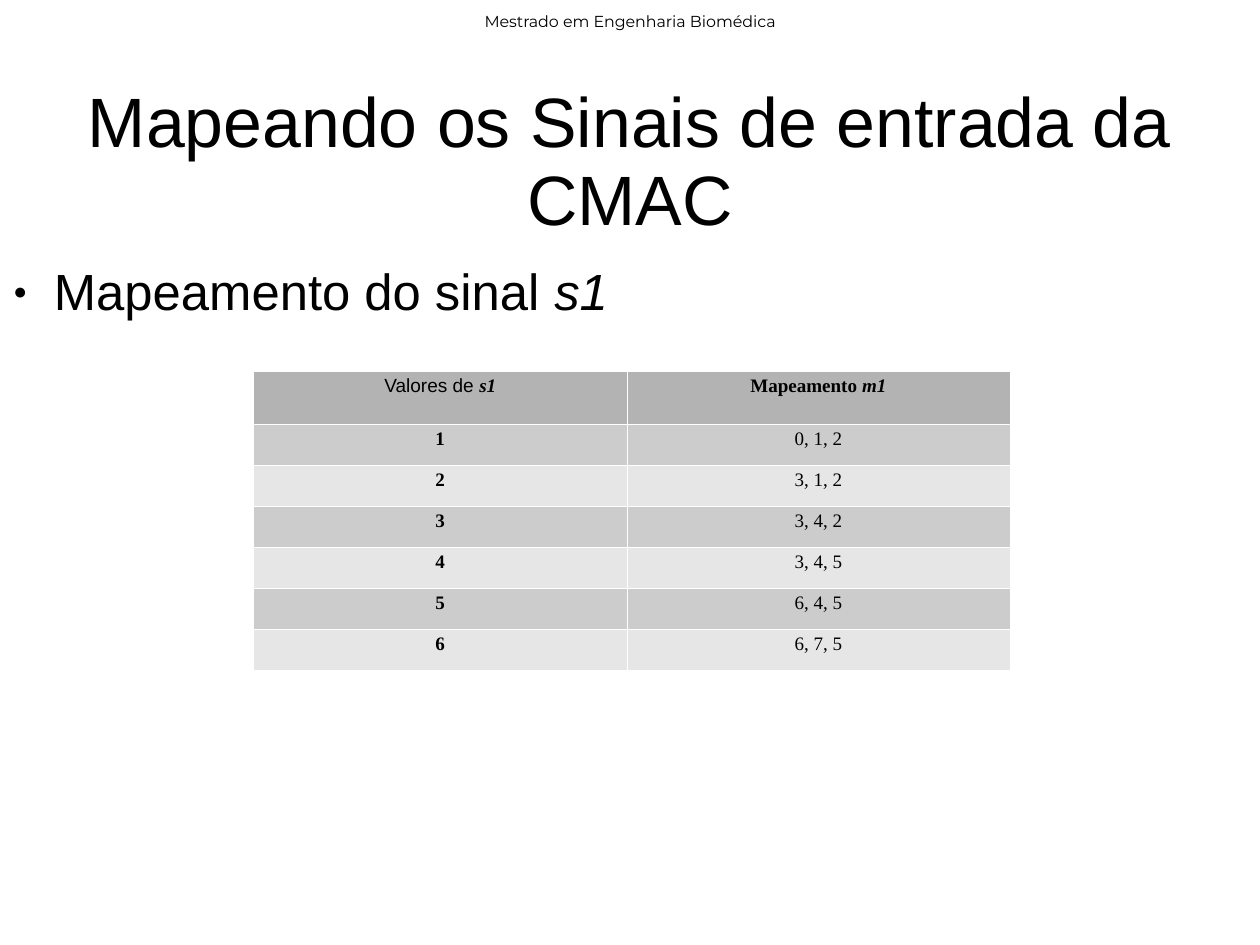
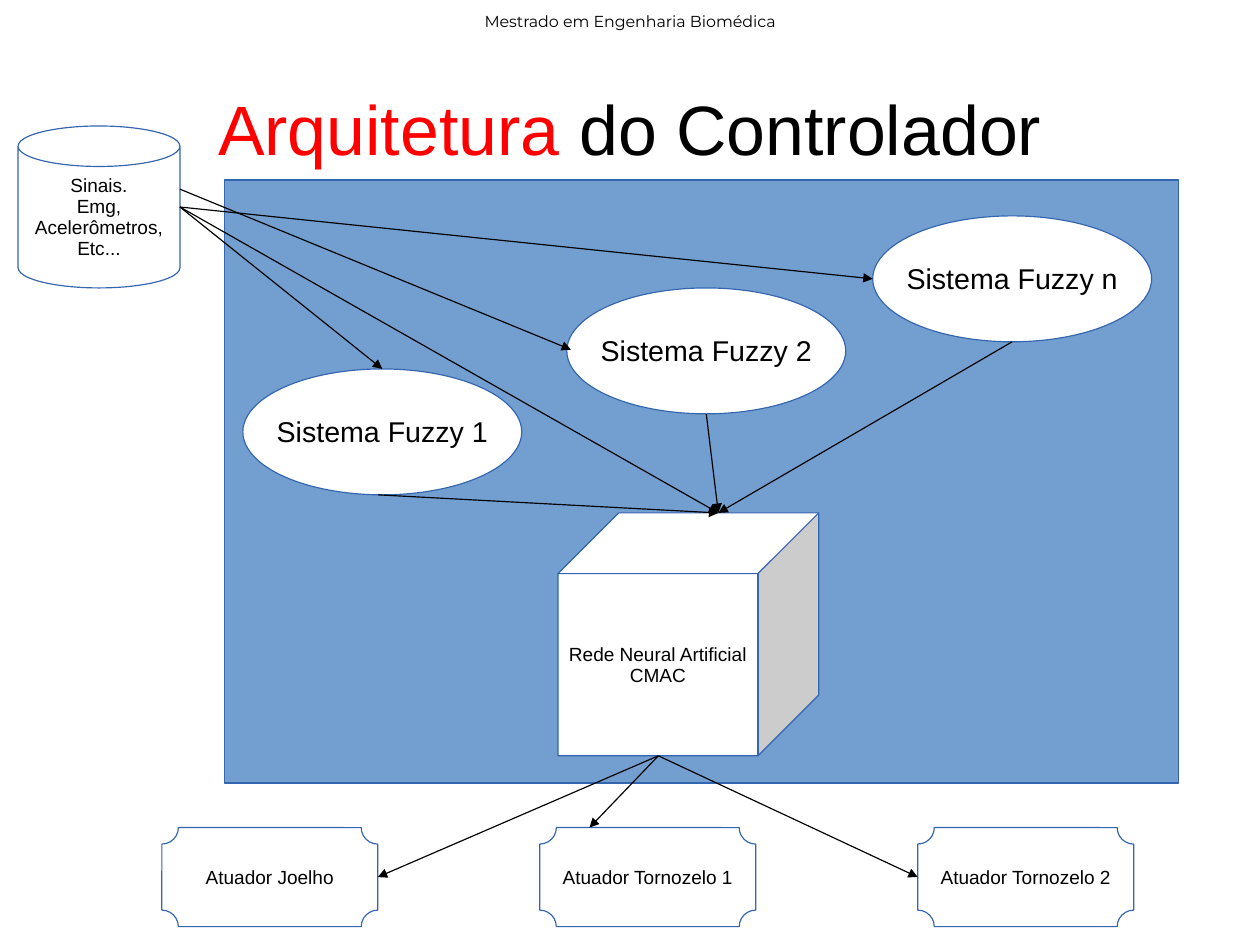
from lxml import etree
from pptx import Presentation
from pptx.dml.color import RGBColor
from pptx.enum import shapes, text
from pptx.oxml.ns import qn
from pptx.util import Pt

BLACK = RGBColor(0x00, 0x00, 0x00)
WHITE = RGBColor(0xFF, 0xFF, 0xFF)
RED = RGBColor(0xFF, 0x00, 0x00)
PANEL_BLUE = RGBColor(0x72, 0x9F, 0xCF)
LINE_BLUE = RGBColor(0x34, 0x65, 0xAF)
HEAD_GRAY = RGBColor(0xB3, 0xB3, 0xB3)
BAND_GRAYS = (RGBColor(0xCC, 0xCC, 0xCC), RGBColor(0xE6, 0xE6, 0xE6))
SANS, SERIF, HEADER_FONT = "Arial", "Times New Roman", "Montserrat"
WIDTH, HEIGHT = 793.75, 595.25
SPACING = 0.93
CENTER = text.PP_ALIGN.CENTER
SHAPE = shapes.MSO_SHAPE

# Content: a run is (text, format)
HEADER = "Mestrado em Engenharia Biomédica"
MAPPING_TITLE = [("Mapeando os Sinais de entrada da CMAC", {})]
BULLET = [("Mapeamento do sinal ", {}), ("s1", {"italic": True})]
TABLE_HEAD = [
    [("Valores de ", {"name": SANS}), ("s1", {"bold": True, "italic": True})],
    [("Mapeamento ", {"bold": True}), ("m1", {"bold": True, "italic": True})],
]
MAPPING = ["0, 1, 2", "3, 1, 2", "3, 4, 2", "3, 4, 5", "6, 4, 5", "6, 7, 5"]
COLUMNS, HEAD_ROW, BODY_ROW = (235.5, 241), 33.2, 25.85

CONTROLLER_TITLE = [("Arquitetura", {"color": RED}), (" do Controlador", {})]
PANEL = (141.7, 113.4, 601, 379.8)
SIGNALS = ["Sinais.", "Emg,", "Acelerômetros,", "Etc..."]
NETWORK = ["Rede Neural Artificial", "CMAC"]
FUZZY = {"Sistema Fuzzy 1": (153, 232.4),
         "Sistema Fuzzy 2": (357.1, 181.4),
         "Sistema Fuzzy n": (549.8, 136)}
ACTUATORS = ["Atuador Joelho", "Atuador Tornozelo 1", "Atuador Tornozelo 2"]
ACTUATOR_LEFT, ACTUATOR_TOP, ACTUATOR_STEP = 102, 521.3, 238.1

# Arrows: (shape, x share, y share) at either end
SIGNAL_PORT = ("signals", 1, 0.5)
NETWORK_IN, NETWORK_OUT = ("network", 0.615, 0), ("network", 0.385, 1)
ARROWS = [
    (SIGNAL_PORT, NETWORK_IN),
    (("signals", 1, 0.39), ("Sistema Fuzzy 2", 0.015, 0.49)),
    (SIGNAL_PORT, ("Sistema Fuzzy n", 0, 0.5)),
    (("Sistema Fuzzy 1", 0.485, 1), NETWORK_IN),
    (("Sistema Fuzzy 2", 0.5, 1), NETWORK_IN),
    (("Sistema Fuzzy n", 0.5, 1), NETWORK_IN),
    (SIGNAL_PORT, ("Sistema Fuzzy 1", 0.5, 0)),
    (NETWORK_OUT, ("Atuador Joelho", 1, 0.5)),
    (NETWORK_OUT, ("Atuador Tornozelo 1", 0.23, 0)),
    (NETWORK_OUT, ("Atuador Tornozelo 2", 0, 0.5)),
]


def set_frame(frame, margins, anchor, wrap=True):
    frame.auto_size = text.MSO_AUTO_SIZE.NONE
    frame.word_wrap = wrap
    frame.vertical_anchor = anchor
    (frame.margin_left, frame.margin_top,
     frame.margin_right, frame.margin_bottom) = map(Pt, margins)


def write_runs(paragraph, runs, size, font=SANS, align=CENTER, spacing=SPACING):
    paragraph.alignment = align
    paragraph.line_spacing = spacing
    for words, style in runs:
        run = paragraph.add_run()
        run.text = words
        run.font.size = Pt(size)
        run.font.name = style.get("name", font)
        run.font.bold = style.get("bold", False)
        run.font.italic = style.get("italic", False)
        run.font.color.rgb = style.get("color", BLACK)


def add_text(slide, box, margins, anchor):
    frame = slide.shapes.add_textbox(*map(Pt, box)).text_frame
    set_frame(frame, margins, anchor)
    return frame.paragraphs[0]


def new_slide(presentation, title_runs, title_top, title_height):
    """Title-only slide with the shared header line and title style."""
    slide = presentation.slides.add_slide(presentation.slide_layouts[5])
    header = add_text(slide, (0, 1.5, WIDTH, 21), (7.2, 3.6, 7.2, 3.6),
                      text.MSO_ANCHOR.MIDDLE)
    write_runs(header, [(HEADER, {})], 10, HEADER_FONT, spacing=1.18)
    title = slide.shapes.title
    title.left, title.top = Pt(0), Pt(title_top)
    title.width, title.height = Pt(WIDTH), Pt(title_height)
    set_frame(title.text_frame, (0, 2.8, 0, 0), text.MSO_ANCHOR.MIDDLE)
    write_runs(title.text_frame.paragraphs[0], title_runs, 44)
    return slide


def add_bullet(paragraph):
    properties = paragraph._p.get_or_add_pPr()
    properties.set("marL", str(Pt(34)))
    properties.set("indent", str(Pt(-25.5)))
    for tag, name, value in (("a:buSzPct", "val", "45000"),
                             ("a:buFont", "typeface", SANS),
                             ("a:buChar", "char", "●")):
        etree.SubElement(properties, qn(tag)).set(name, value)


def set_borders(cell):
    properties = cell._tc.get_or_add_tcPr()
    for position, side in enumerate(("a:lnL", "a:lnR", "a:lnT", "a:lnB")):
        line = etree.Element(qn(side), w="720")
        fill = etree.SubElement(line, qn("a:solidFill"))
        etree.SubElement(fill, qn("a:srgbClr")).set("val", str(WHITE))
        properties.insert(position, line)


def add_mapping_table(slide):
    rows = [TABLE_HEAD] + [
        [[(str(number), {"bold": True})], [(values, {})]]
        for number, values in enumerate(MAPPING, 1)]
    heights = [HEAD_ROW] + [BODY_ROW] * len(MAPPING)
    table = slide.shapes.add_table(
        len(rows), len(COLUMNS), Pt(159.6), Pt(233.8),
        Pt(sum(COLUMNS)), Pt(sum(heights))).table
    for column, width in zip(table.columns, COLUMNS):
        column.width = Pt(width)
    for index, (row, height) in enumerate(zip(rows, heights)):
        table.rows[index].height = Pt(height)
        for column, runs in enumerate(row):
            cell = table.cell(index, column)
            cell.fill.solid()
            cell.fill.fore_color.rgb = (
                BAND_GRAYS[(index - 1) % 2] if index else HEAD_GRAY)
            set_borders(cell)
            paragraph = cell.text_frame.paragraphs[0]
            write_runs(paragraph, runs, 12, SERIF)
            if index or column:
                paragraph.space_after = Pt(6.9)


def add_block(slide, kind, box, lines=(), size=12, fill=WHITE):
    shape = slide.shapes.add_shape(kind, *map(Pt, box))
    shape.shadow.inherit = False
    shape.fill.solid()
    shape.fill.fore_color.rgb = fill
    shape.line.color.rgb = LINE_BLUE
    shape.line.width = Pt(0.75)
    frame = shape.text_frame
    set_frame(frame, (7.2, 4.3, 7.2, 3.6), text.MSO_ANCHOR.MIDDLE, wrap=False)
    for index, line in enumerate(lines):
        paragraph = frame.add_paragraph() if index else frame.paragraphs[0]
        write_runs(paragraph, [(line, {})], size)
    return shape


def port(shape, x_share, y_share):
    return (int(shape.left + shape.width * x_share),
            int(shape.top + shape.height * y_share))


def add_arrow(slide, start, end):
    arrow = slide.shapes.add_connector(
        shapes.MSO_CONNECTOR.STRAIGHT, *start, *end)
    arrow.line.color.rgb = BLACK
    arrow.line.width = Pt(0.75)
    etree.SubElement(arrow.line._get_or_add_ln(), qn("a:tailEnd"),
                     type="triangle")
    etree.SubElement(arrow._element.spPr, qn("a:effectLst"))


def build_mapping(presentation):
    slide = new_slide(presentation, MAPPING_TITLE, 51.8, 98.6)
    bullet = add_text(slide, (0, 165, WIDTH, 50), (0, 2, 0, 0),
                      text.MSO_ANCHOR.TOP)
    add_bullet(bullet)
    write_runs(bullet, BULLET, 32, align=text.PP_ALIGN.LEFT)
    add_mapping_table(slide)


def build_controller(presentation):
    slide = new_slide(presentation, CONTROLLER_TITLE, 45.4, 73.4)
    add_block(slide, SHAPE.RECTANGLE, PANEL, fill=PANEL_BLUE)
    blocks = {"signals": add_block(slide, SHAPE.CAN,
                                   (11.4, 79.4, 102, 102), SIGNALS)}
    for name, corner in FUZZY.items():
        blocks[name] = add_block(slide, SHAPE.OVAL, (*corner, 175.7, 79.3),
                                 [name], 18)
    blocks["network"] = add_block(slide, SHAPE.CUBE,
                                  (351.5, 323.1, 164.3, 153), NETWORK)
    for index, name in enumerate(ACTUATORS):
        left = ACTUATOR_LEFT + index * ACTUATOR_STEP
        blocks[name] = add_block(slide, SHAPE.PLAQUE,
                                 (left, ACTUATOR_TOP, 136, 62.4), [name])
    for ends in ARROWS:
        add_arrow(slide, *(port(blocks[name], x, y) for name, x, y in ends))


def main():
    presentation = Presentation()
    presentation.slide_width, presentation.slide_height = Pt(WIDTH), Pt(HEIGHT)
    build_mapping(presentation)
    build_controller(presentation)
    presentation.save("out.pptx")


if __name__ == "__main__":
    main()
